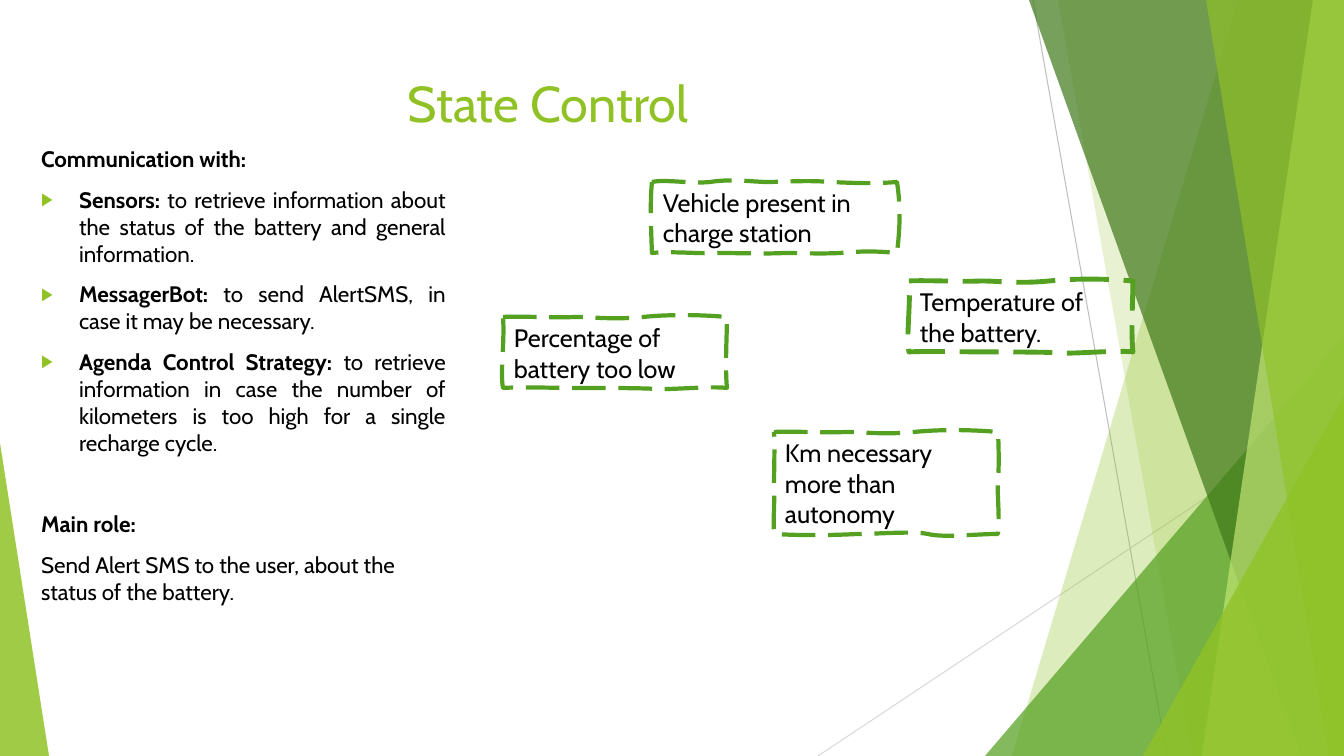
from dataclasses import dataclass
from lxml.etree import SubElement
from pptx import Presentation
from pptx.dml.color import RGBColor as RGB
from pptx.enum.dml import MSO_LINE
from pptx.enum.shapes import MSO_CONNECTOR as LINK, MSO_SHAPE as SHAPE
from pptx.enum.text import MSO_ANCHOR as ANCHOR, MSO_AUTO_SIZE as FIT, PP_ALIGN as ALIGN
from pptx.oxml.ns import qn
from pptx.util import Pt


@dataclass(frozen=True)
class Theme:
    font: str = "Cabin"
    ink: str = "000000"
    lime: str = "90C226"
    green: str = "54A021"
    moss: str = "3F7819"
    pale: str = "C0E474"
    title: int = 36
    body: int = 16
    note: int = 18


T = Theme()
PX = 12192000 / 1344
WIDE, HIGH = 1344, 756

TITLE = "State Control"
# bold lead, plain text, bulleted, space before in points
BODY = [
    ("Communication with:", "", False, 10),
    ("Sensors:", " to retrieve information about the status of the battery "
     "and general information.", True, 10),
    ("MessagerBot:", " to send AlertSMS, in case it may be necessary.", True, 10),
    ("Agenda Control Strategy:", " to retrieve information in case the number of "
     "kilometers is too high for a single recharge cycle.", True, 10),
    ("Main role:", "", False, 39),
    ("", "Send Alert SMS to the user, about the status of the battery.", False, 10),
]

# Hand-drawn outlines: each row is one cubic curve, relative to the box corner
TOP = [(15, -1, 53, 1, 72, 0), (91, 0, 110, 3, 140, 0), (170, -3, 201, -2, 224, 0)]
WIDE_BOX = [
    (13, -3, 40, 2, 58, 0), (77, -3, 93, -1, 113, 0), (132, 0, 155, -2, 178, 0),
    (203, 1, 220, 2, 245, 0), (249, 25, 248, 47, 245, 71), (224, 69, 210, 69, 188, 71),
    (168, 72, 148, 71, 132, 71), (117, 72, 85, 71, 67, 71), (47, 72, 18, 69, 0, 71),
    (-1, 43, -2, 21, 0, 0),
]
LOW_BOX = TOP + [
    (224, 19, 222, 50, 224, 71), (207, 69, 167, 73, 153, 72), (139, 71, 94, 71, 75, 71),
    (56, 71, 15, 70, 0, 71), (-3, 55, 2, 23, 0, 0),
]
TALL_BOX = TOP + [
    (225, 17, 225, 39, 224, 50), (223, 61, 226, 85, 224, 102),
    (202, 102, 169, 106, 154, 102), (139, 99, 103, 102, 84, 102),
    (64, 103, 34, 104, 0, 102), (-1, 87, 1, 68, 0, 54), (0, 41, 1, 15, 0, 0),
]
NOTES = [
    ("Vehicle present in charge station", 652, 182, WIDE_BOX, 3),
    ("Temperature of the battery.", 909, 281, LOW_BOX, 3.5),
    ("Percentage of battery too low", 503, 317, LOW_BOX, 3),
    ("Km necessary more than autonomy", 774, 432, TALL_BOX, 3),
]

RAYS = [((1033, 0), (1167, HIGH), "BFBFBF"), ((WIDE, 406), (818, HIGH), "D9D9D9")]
# A sheet is (top x, bottom x); a wedge is (left, top, width, apex)
DECOR = [
    ((1238, 1012), T.lime, 30),
    ((1058, 1192), T.lime, 20),
    ((985, 336, 359, 1), T.green, 72),
    ((1029, 1301), T.moss, 70),
    ((1313, 1202), T.pale, 70),
    ((1206, 1329), T.lime, 65),
    ((1143, 396, 201, 1), T.lime, 80),
    ((0, 443, 49, 0), T.lime, 85),
]


def emu(*vals):
    return [round(v * PX) for v in vals]


def put(item, **vals):
    for key, val in vals.items():
        setattr(item, key, val)


def write(para, text, size, color=T.ink, bold=False):
    run = para.add_run()
    run.text = text
    put(run.font, name=T.font, size=Pt(size), bold=bold)
    run.font.color.rgb = RGB.from_string(color)


def place(shape, left, top, width, height):
    put(shape, **dict(zip(("left", "top", "width", "height"),
                          emu(left, top, width, height))))


def outline(shapes, points):
    first, *rest = [emu(*p) for p in points]
    pen = shapes.build_freeform(*first, scale=1)
    pen.add_line_segments(rest, close=True)
    return pen.convert_to_shape()


def sketch(shapes, left, top, curves):
    """Draw a closed outline, then bend each side into its cubic curve."""
    ends = [(left + c[4], top + c[5]) for c in curves]
    box = outline(shapes, [(left, top)] + ends)
    sides = box._element.spPr.findall(".//" + qn("a:lnTo"))
    for side, curve in zip(sides, curves):
        side.tag = qn("a:cubicBezTo")
        side.remove(side[0])
        vals = emu(*curve)
        for x, y in zip(vals[::2], vals[1::2]):
            SubElement(side, qn("a:pt"), x=str(x), y=str(y))
    return box


def draw_decor(shapes):
    for start, end, color in RAYS:
        ray = shapes.add_connector(LINK.STRAIGHT, *emu(*start, *end))
        ray.line.color.rgb = RGB.from_string(color)
        ray.line.width = Pt(0.75)
        SubElement(ray._element.spPr, qn("a:effectLst"))
    for spot, color, alpha in DECOR:
        if len(spot) == 2:
            head, foot = spot
            shape = outline(shapes, [(head, 0), (WIDE, 0), (WIDE, HIGH), (foot, HIGH)])
        else:
            left, top, width, apex = spot
            shape = shapes.add_shape(SHAPE.ISOSCELES_TRIANGLE,
                                     *emu(left, top, width, HIGH - top))
            shape.adjustments[0] = apex
        shape.shadow.inherit = False
        shape.line.fill.background()
        shape.fill.solid()
        shape.fill.fore_color.rgb = RGB.from_string(color)
        tint = shape._element.spPr.find(".//" + qn("a:srgbClr"))
        SubElement(tint, qn("a:alpha"), val=str(alpha * 1000))


def mark(para, bullet):
    """Set the indent and the bullet of a body paragraph."""
    props = para._p.get_or_add_pPr()
    step = emu(38)[0] if bullet else 0
    props.set("marL", str(step))
    props.set("indent", str(-step))
    if not bullet:
        SubElement(props, qn("a:buNone"))
        return
    tint = SubElement(props, qn("a:buClr"))
    SubElement(tint, qn("a:srgbClr"), val=T.lime)
    SubElement(props, qn("a:buSzPct"), val="80000")
    SubElement(props, qn("a:buChar"), char="▶")


def fill_text(title, body):
    place(title, 74, 67, 948, 145)
    place(body, 31, 140, 425, 616)
    for holder in (title, body):
        put(holder.text_frame, vertical_anchor=ANCHOR.TOP, auto_size=FIT.NONE,
            word_wrap=True)
    head = title.text_frame.paragraphs[0]
    head.alignment = ALIGN.CENTER
    write(head, TITLE, T.title, T.lime)
    for i, (lead, text, bullet, gap) in enumerate(BODY):
        frame = body.text_frame
        para = frame.add_paragraph() if i else frame.paragraphs[0]
        put(para, space_before=Pt(gap),
            alignment=ALIGN.JUSTIFY if bullet else ALIGN.LEFT)
        mark(para, bullet)
        for part, bold in ((lead, True), (text, False)):
            if part:
                write(para, part, T.body, bold=bold)


def draw_notes(shapes):
    inset, edge = emu(11, 16)
    for text, left, top, curves, width in NOTES:
        box = sketch(shapes, left, top, curves)
        box.shadow.inherit = False
        box.fill.background()
        box.line.color.rgb = RGB.from_string(T.green)
        put(box.line, width=Pt(width), dash_style=MSO_LINE.LONG_DASH)
        put(box.text_frame, word_wrap=True, vertical_anchor=ANCHOR.MIDDLE,
            margin_left=inset, margin_right=edge)
        para = box.text_frame.paragraphs[0]
        para.alignment = ALIGN.LEFT
        write(para, text, T.note)


def main():
    deck = Presentation()
    deck.slide_width, deck.slide_height = emu(WIDE, HIGH)
    slide = deck.slides.add_slide(deck.slide_layouts[1])
    draw_decor(slide.shapes)
    fill_text(slide.shapes.title, slide.placeholders[1])
    draw_notes(slide.shapes)
    deck.save("out.pptx")


if __name__ == "__main__":
    main()
